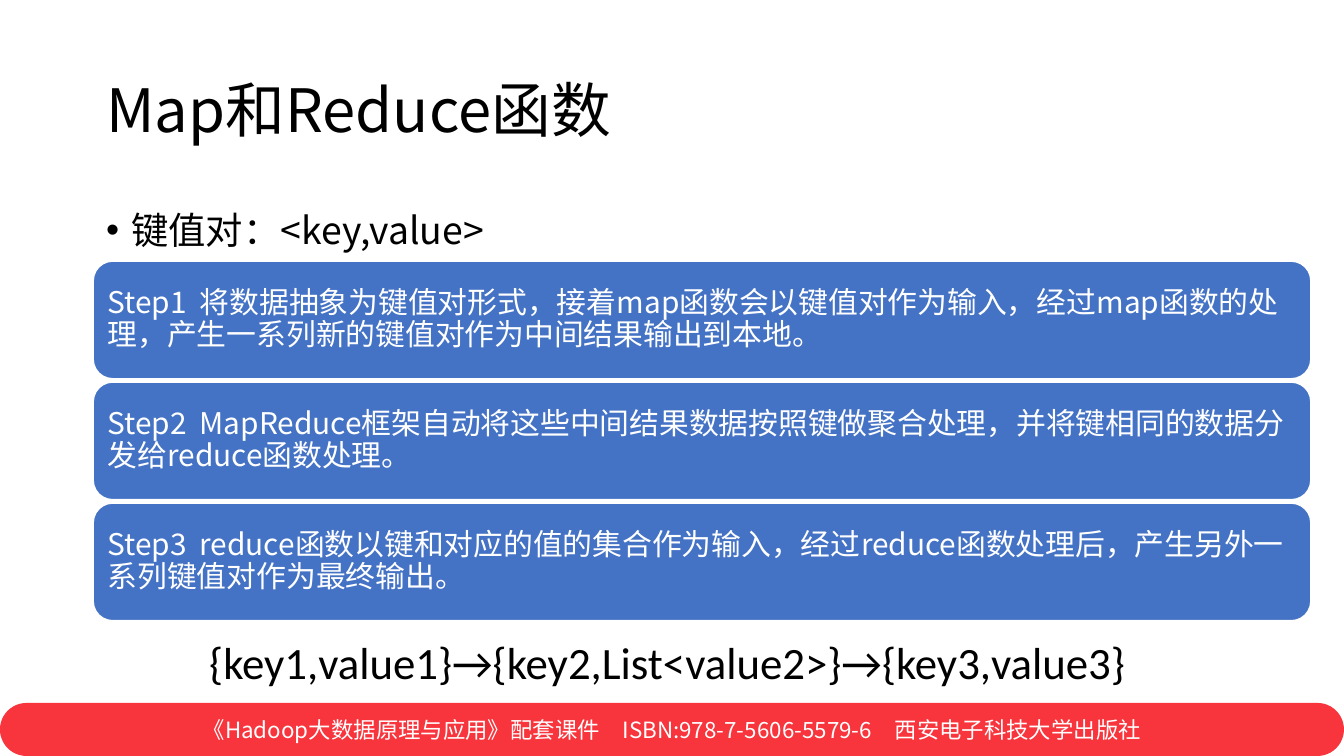
from lxml.etree import SubElement
from pptx import Presentation
from pptx.dml.color import RGBColor
from pptx.enum.shapes import MSO_SHAPE
from pptx.enum.text import MSO_ANCHOR, PP_ALIGN
from pptx.oxml.ns import qn
from pptx.util import Pt

PX = 914400 / 134.4
SANS, LATIN = "Noto Sans CJK SC", "Calibri"
BLACK, WHITE, BLUE, RED = "000000", "FFFFFF", "4472C4", "F8353D"

TITLE = "Map和Reduce函数"
KEY_VALUE = "键值对：<key,value>"
STEPS = [
    ("Step1", "将数据抽象为键值对形式，接着map函数会以键值对作为输入，经过map函数的处理，产生一系列新的键值对作为中间结果输出到本地。"),
    ("Step2", "MapReduce框架自动将这些中间结果数据按照键做聚合处理，并将键相同的数据分发给reduce函数处理。"),
    ("Step3", "reduce函数以键和对应的值的集合作为输入，经过reduce函数处理后，产生另外一系列键值对作为最终输出。"),
]
FORMULA = "{key1,value1}→{key2,List<value2>}→{key3,value3}"
FOOTER = ["《Hadoop大数据原理与应用》配套课件", "ISBN:978-7-5606-5579-6", "西安电子科技大学出版社"]

STEP_LEFT, STEP_TOP, STEP_WIDTH, STEP_HEIGHT, STEP_PITCH = 93, 261, 1218, 118, 121
STEP_INSET, STEP_TAB = 9, 92
BULLET_INDENT = 25


def emu(px):
    return round(px * PX)


def color(value):
    return RGBColor.from_string(value)


def write(shape, text, size, ink, font=SANS, anchor=MSO_ANCHOR.MIDDLE,
          align=PP_ALIGN.LEFT, spacing=None, bullet=False, tab=None, wrap=True):
    frame = shape.text_frame
    frame.word_wrap = wrap
    frame.vertical_anchor = anchor
    paragraph = frame.paragraphs[0]
    paragraph.text = text
    paragraph.alignment = align
    if spacing:
        paragraph.line_spacing = spacing
    properties = paragraph._p.get_or_add_pPr()
    if bullet:
        properties.set("marL", str(emu(BULLET_INDENT)))
        properties.set("indent", str(-emu(BULLET_INDENT)))
        SubElement(properties, qn("a:buFont"), typeface="Arial")
        SubElement(properties, qn("a:buChar"), char="•")
    if tab:
        stops = SubElement(properties, qn("a:tabLst"))
        SubElement(stops, qn("a:tab"), pos=str(emu(tab)), algn="l")
    paragraph.font.size = Pt(size)
    paragraph.font.name = font
    paragraph.font.color.rgb = color(ink)
    SubElement(properties.find(qn("a:defRPr")), qn("a:ea"), typeface=font)


def add_text(slide, box, text, size, **style):
    write(slide.shapes.add_textbox(*map(emu, box)), text, size, BLACK, **style)


def add_bar(slide, box, fill):
    bar = slide.shapes.add_shape(MSO_SHAPE.ROUNDED_RECTANGLE, *map(emu, box))
    bar.shadow.inherit = False
    bar.fill.solid()
    bar.fill.fore_color.rgb = color(fill)
    return bar


def add_step(slide, index, label, text):
    step = add_bar(slide, (STEP_LEFT, STEP_TOP + index * STEP_PITCH, STEP_WIDTH, STEP_HEIGHT), BLUE)
    step.line.color.rgb = color(WHITE)
    step.line.width = Pt(1)
    frame = step.text_frame
    frame.margin_left = frame.margin_right = emu(STEP_INSET)
    frame.margin_top = frame.margin_bottom = emu(STEP_INSET)
    write(step, f"{label}\t{text}", 16, WHITE, spacing=0.9, tab=STEP_TAB)


def main():
    deck = Presentation()
    deck.slide_width, deck.slide_height = emu(1344), emu(756)
    slide = deck.slides.add_slide(deck.slide_layouts[6])

    footer = add_bar(slide, (0, 703, 1344, 53), RED)
    footer.adjustments[0] = 0.5
    footer.line.fill.background()
    write(footer, "　".join(FOOTER), 12, WHITE, align=PP_ALIGN.CENTER)

    add_text(slide, (93, 40, 1159, 146), TITLE, 32, spacing=0.9)
    add_text(slide, (93, 201, 1159, 60), KEY_VALUE, 20, anchor=MSO_ANCHOR.TOP, bullet=True)
    for index, (label, text) in enumerate(STEPS):
        add_step(slide, index, label, text)
    add_text(slide, (196, 628, 953, 67), FORMULA, 24, font=LATIN,
             anchor=MSO_ANCHOR.TOP, wrap=False)

    deck.save("out.pptx")


if __name__ == "__main__":
    main()
